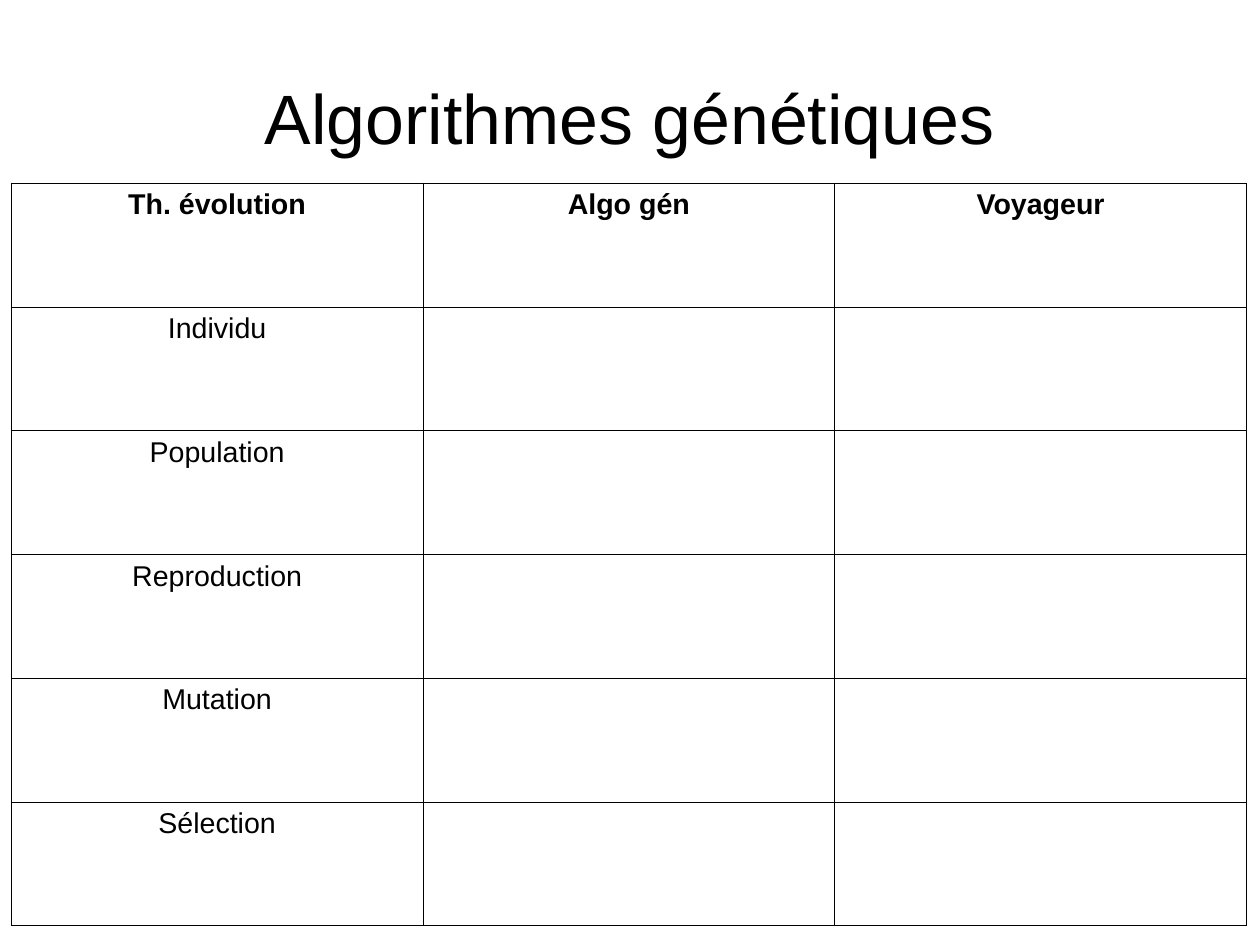
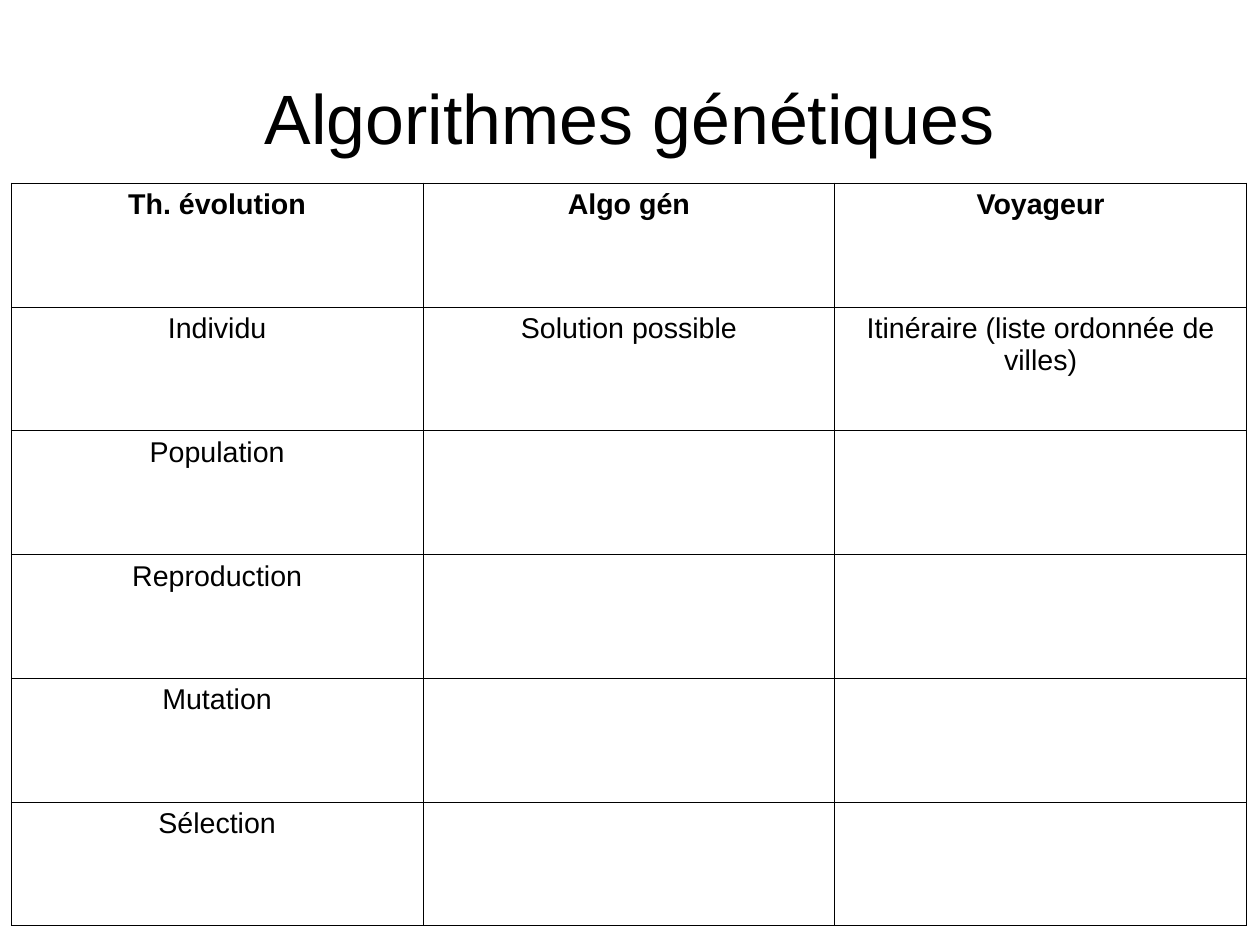
"""Build two slides that compare evolution theory with genetic algorithms."""
from lxml.etree import SubElement as Sub
from pptx import Presentation
from pptx.dml.color import RGBColor
from pptx.enum.text import MSO_ANCHOR as Anchor, PP_ALIGN as Align
from pptx.oxml.ns import qn
from pptx.util import Cm, Pt

BLACK = RGBColor(0, 0, 0)
WHITE = RGBColor(255, 255, 255)
FONT = "Arial"
TITLE = "Algorithmes génétiques"
HEAD = ["Th. évolution", "Algo gén", "Voyageur"]
TERMS = ["Individu", "Population", "Reproduction", "Mutation", "Sélection"]
ANSWERS = [
    {},
    {"Individu": ["Solution possible", "Itinéraire (liste ordonnée de villes)"]},
]
WIDTH, HEIGHT = Cm(9.15), Cm(2.75)


def write(frame, text, size, bold=False):
    frame.text = text
    par = frame.paragraphs[0]
    par.alignment = Align.CENTER
    for run in par.runs:
        run.font.name = FONT
        run.font.size = Pt(size)
        run.font.bold = bold
        run.font.color.rgb = BLACK


def frame_cell(cell):
    props = cell._tc.get_or_add_tcPr()
    for side in ("a:lnL", "a:lnR", "a:lnT", "a:lnB"):
        line = Sub(props, qn(side), w=str(Pt(0.57)))
        fill = Sub(line, qn("a:solidFill"))
        Sub(fill, qn("a:srgbClr"), val=str(BLACK))
    cell.fill.background()


deck = Presentation()
deck.slide_width, deck.slide_height = Cm(28), Cm(21)
blank = deck.slide_layouts[6]
back = deck.slide_master.background.fill
back.solid()
back.fore_color.rgb = WHITE

for answers in ANSWERS:
    slide = deck.slides.add_slide(blank)

    title = slide.shapes.add_textbox(Cm(1.4), Cm(0.84), Cm(25.2), Cm(3.5))
    frame = title.text_frame
    frame.word_wrap = True
    frame.vertical_anchor = Anchor.MIDDLE
    frame.margin_left = frame.margin_right = 0
    frame.margin_top = frame.margin_bottom = 0
    write(frame, TITLE, 44)

    rows = [HEAD] + [[term] + answers.get(term, []) for term in TERMS]
    table = slide.shapes.add_table(
        len(rows), len(HEAD), Cm(0.25), Cm(4.07),
        WIDTH * len(HEAD), HEIGHT * len(rows)).table
    table.first_row = table.horz_banding = False
    for col in table.columns:
        col.width = WIDTH
    for i, row in enumerate(rows):
        table.rows[i].height = HEIGHT
        for j, text in enumerate(row):
            write(table.cell(i, j).text_frame, text, 18, bold=i == 0)
    for cell in table.iter_cells():
        frame_cell(cell)

deck.save("out.pptx")
